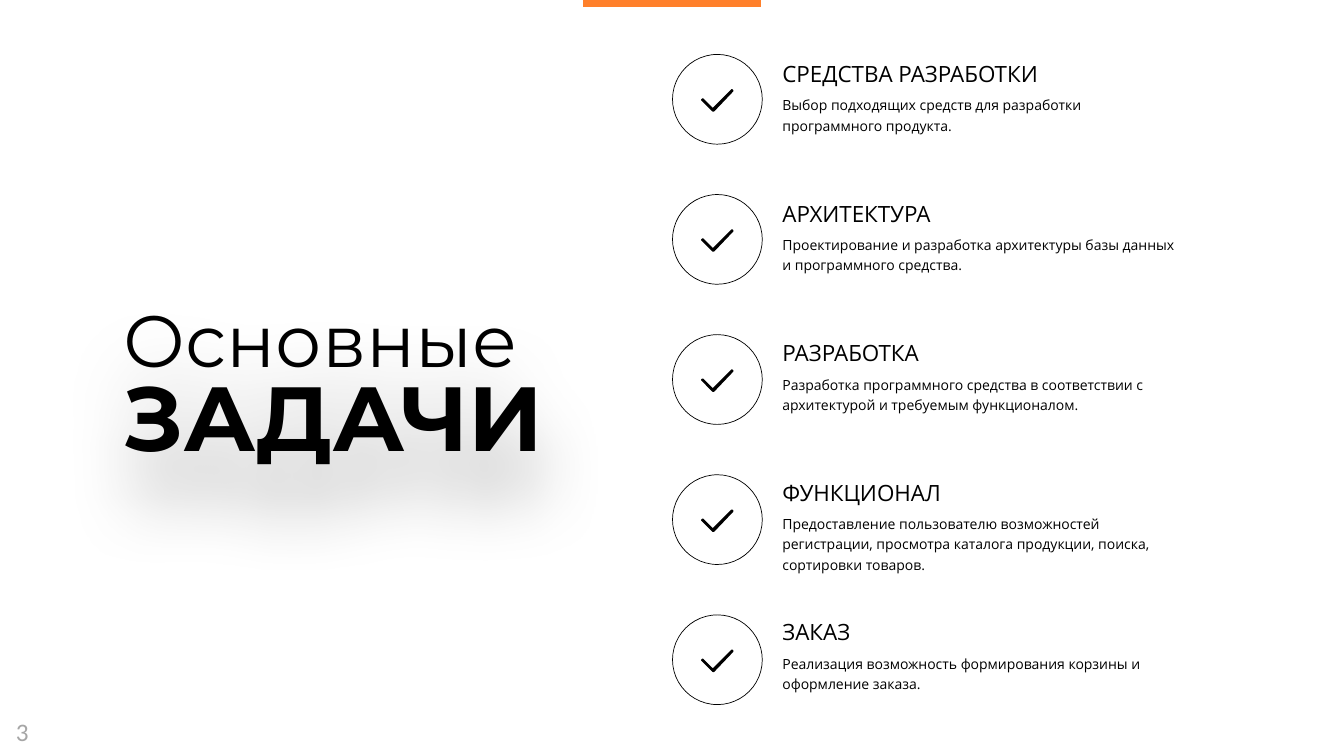
from lxml.etree import SubElement
from pptx import Presentation
from pptx.dml.color import RGBColor
from pptx.enum.shapes import MSO_CONNECTOR, MSO_SHAPE
from pptx.enum.text import MSO_ANCHOR
from pptx.oxml.ns import qn
from pptx.util import Inches, Pt

COLORS = {"ink": "000000", "accent": "FF802B", "number": "A6A6A6"}

TASKS = [
    ("СРЕДСТВА РАЗРАБОТКИ",
     "Выбор подходящих средств для разработки программного продукта."),
    ("АРХИТЕКТУРА",
     "Проектирование и разработка архитектуры базы данных и программного средства."),
    ("РАЗРАБОТКА",
     "Разработка программного средства в соответствии с архитектурой "
     "и требуемым функционалом."),
    ("ФУНКЦИОНАЛ",
     "Предоставление пользователю возможностей регистрации, просмотра "
     "каталога продукции, поиска, сортировки товаров."),
    ("ЗАКАЗ",
     "Реализация возможность формирования корзины и оформление заказа."),
]

ICON_TOP, ICON_PITCH = 0.54, 1.39
TEXT_TOP, TEXT_PITCH = 0.62, 1.385
CHECK_LEFT, CHECK_DROP = 6.96, 0.35
# Outline of the check mark, in hundredths of an inch
CHECK_OUTLINE = [(31, 1), (30, 0), (11, 19), (1, 9), (0, 10), (11, 21), (12, 21)]


def color(name):
    return RGBColor.from_string(COLORS[name])


def add_run(paragraph, text, font_name, size, color_name="ink", bold=False):
    run = paragraph.add_run()
    run.text = text
    run.font.name = font_name
    run.font.size = Pt(size)
    run.font.bold = bold
    run.font.color.rgb = color(color_name)


def add_text_box(slide, left, top, width, height, side_inset=0.1, spacing=None):
    """Add an empty wrapping box and return it with its first paragraph."""
    box = slide.shapes.add_textbox(Inches(left), Inches(top), Inches(width), Inches(height))
    frame = box.text_frame
    frame.word_wrap = True
    frame.margin_left = frame.margin_right = Inches(side_inset)
    paragraph = frame.paragraphs[0]
    paragraph.line_spacing = spacing
    return box, paragraph


def add_soft_shadow(shape):
    effects = SubElement(shape._element.spPr, qn("a:effectLst"))
    shadow = SubElement(effects, qn("a:outerShdw"), blurRad=str(Inches(0.7)),
                        dist=str(Inches(0.5)), dir="5400000", algn="t", rotWithShape="0")
    shade = SubElement(shadow, qn("a:srgbClr"), val=COLORS["ink"])
    SubElement(shade, qn("a:alpha"), val="30000")


def add_check_icon(slide, top):
    circle = slide.shapes.add_shape(
        MSO_SHAPE.OVAL, Inches(6.67), Inches(top), Inches(0.89), Inches(0.89))
    circle.shadow.inherit = False
    circle.fill.background()
    circle.line.color.rgb = color("ink")
    circle.line.width = Pt(0.5)

    start, *others = CHECK_OUTLINE
    builder = slide.shapes.build_freeform(*start, scale=Inches(0.01))
    builder.add_line_segments(others, close=True)
    check = builder.convert_to_shape(Inches(CHECK_LEFT), Inches(top + CHECK_DROP))
    check.shadow.inherit = False
    check.fill.solid()
    check.fill.fore_color.rgb = color("ink")
    check.line.color.rgb = color("ink")
    check.line.width = Pt(1)


def add_task_text(slide, top, heading, description):
    _, paragraph = add_text_box(slide, 7.76, top, 3.92, 0.3, 0, 0.7)
    add_run(paragraph, heading, "Open Sans", 16)
    _, paragraph = add_text_box(slide, 7.76, top + 0.26, 3.92, 0.5, 0, 1.2)
    add_run(paragraph, description, "Open Sans", 10)


def add_title(slide):
    box, paragraph = add_text_box(slide, 1.13, 2.97, 4.85, 1.8, spacing=0.8)
    box.text_frame.vertical_anchor = MSO_ANCHOR.MIDDLE
    add_run(paragraph, "Основные", "Montserrat", 52)
    paragraph.add_line_break()
    add_run(paragraph, "ЗАДАЧИ", "Montserrat", 65, bold=True)
    add_soft_shadow(box)


def add_accent_line(slide):
    line = slide.shapes.add_connector(
        MSO_CONNECTOR.STRAIGHT, Inches(5.78), Inches(0.03), Inches(7.55), Inches(0.03))
    line.line.color.rgb = color("accent")
    line.line.width = Pt(5)
    SubElement(line._element.spPr, qn("a:effectLst"))


def add_page_number(slide):
    _, paragraph = add_text_box(slide, 0.06, 7.06, 0.28, 0.4)
    add_run(paragraph, "3", "Calibri", 18, "number")


def main():
    presentation = Presentation()
    presentation.slide_width = Inches(13.33)
    presentation.slide_height = Inches(7.5)
    slide = presentation.slides.add_slide(presentation.slide_layouts[6])
    add_accent_line(slide)
    for row, (heading, description) in enumerate(TASKS):
        add_check_icon(slide, ICON_TOP + row * ICON_PITCH)
        add_task_text(slide, TEXT_TOP + row * TEXT_PITCH, heading, description)
    add_page_number(slide)
    add_title(slide)
    presentation.save("out.pptx")


if __name__ == "__main__":
    main()
